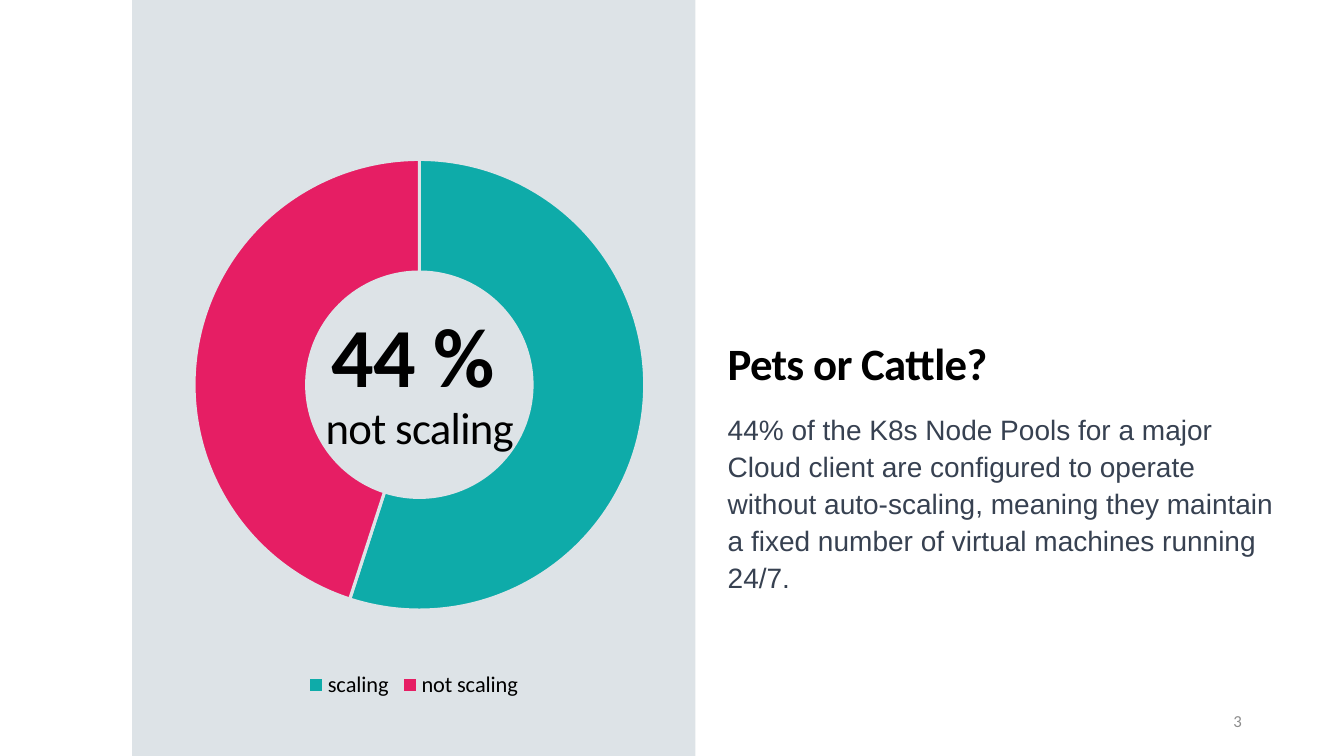
from dataclasses import dataclass

from lxml import etree
from pptx import Presentation
from pptx.chart.data import CategoryChartData
from pptx.dml.color import RGBColor
from pptx.enum import chart as chart_enum, shapes, text
from pptx.oxml.ns import qn
from pptx.util import Pt

BLACK = RGBColor(0x00, 0x00, 0x00)
PANEL_GREY = RGBColor(0xDD, 0xE3, 0xE7)
TEAL = RGBColor(0x0E, 0xAB, 0xA9)
PINK = RGBColor(0xE6, 0x1E, 0x64)
SLATE = RGBColor(0x37, 0x41, 0x51)
NUMBER_GREY = RGBColor(0x8C, 0x8C, 0x8C)

SLIDE_WIDTH, SLIDE_HEIGHT = 960, 540
PANEL_LEFT, PANEL_WIDTH = 94.3, 402.5
TEXT_LEFT, TEXT_WIDTH = 519.8, 402.5


@dataclass(frozen=True)
class Run:
    text: str
    size: float
    color: RGBColor = BLACK
    bold: bool = False
    font: str = "Calibri"
    spacing: int = 0  # hundredths of a point
    break_after: bool = False


@dataclass(frozen=True)
class Block:
    left: float
    top: float
    width: float
    height: float
    runs: tuple[Run, ...]
    align: text.PP_ALIGN = text.PP_ALIGN.LEFT
    anchor: text.MSO_ANCHOR = text.MSO_ANCHOR.BOTTOM
    line_spacing: float = 0.9
    side_inset: float = 0
    end_inset: float = 2.2


TITLE = Block(TEXT_LEFT, 116.6, TEXT_WIDTH, 164.2,
              (Run("Pets or Cattle?", 32, bold=True, spacing=-50),))

TEXT_BLOCKS = (
    # Figure in the middle of the ring
    Block(192.2, 218.9, 215.3, 108,
          (Run("44 %", 60, bold=True, spacing=-50),
           Run(" ", 44, bold=True, spacing=-50, break_after=True),
           Run("not scaling", 32, spacing=-50)),
          align=text.PP_ALIGN.CENTER),
    # Explanation
    Block(TEXT_LEFT, 292.3, TEXT_WIDTH, 209.5,
          (Run("44% of the K8s Node Pools for a major Cloud client are configured "
               "to operate without auto-scaling, meaning they maintain a fixed "
               "number of virtual machines running 24/7.", 20, SLATE, font="Arial"),),
          anchor=text.MSO_ANCHOR.TOP, line_spacing=1.1, end_inset=0),
    # Slide number
    Block(678.2, 500.4, 216, 28.8, (Run("3", 12, NUMBER_GREY),),
          align=text.PP_ALIGN.RIGHT, anchor=text.MSO_ANCHOR.MIDDLE,
          line_spacing=1, side_inset=7.2, end_inset=3.6),
)


def fill_text(shape, block: Block) -> None:
    """Place a text shape and write its single paragraph run by run."""
    shape.left, shape.top = Pt(block.left), Pt(block.top)
    shape.width, shape.height = Pt(block.width), Pt(block.height)
    frame = shape.text_frame
    frame.word_wrap = True
    frame.auto_size = text.MSO_AUTO_SIZE.NONE
    frame.vertical_anchor = block.anchor
    frame.margin_left = frame.margin_right = Pt(block.side_inset)
    frame.margin_top = frame.margin_bottom = Pt(block.end_inset)
    paragraph = frame.paragraphs[0]
    paragraph.alignment = block.align
    paragraph.line_spacing = block.line_spacing
    for item in block.runs:
        run = paragraph.add_run()
        run.text = item.text
        run.font.name = item.font
        run.font.size = Pt(item.size)
        run.font.bold = item.bold
        run.font.color.rgb = item.color
        if item.spacing:
            run.font._element.set("spc", str(item.spacing))
        if item.break_after:
            paragraph.add_line_break()


def add_panel(slide) -> None:
    panel = slide.shapes.add_shape(shapes.MSO_SHAPE.RECTANGLE, Pt(PANEL_LEFT), Pt(0),
                                   Pt(PANEL_WIDTH), Pt(SLIDE_HEIGHT))
    panel.shadow.inherit = False
    panel.fill.solid()
    panel.fill.fore_color.rgb = PANEL_GREY
    panel.line.fill.background()


def set_plot_layout(chart, x: float, y: float, width: float, height: float) -> None:
    """Fix the inner plot area as fractions of the chart."""
    plot_area = chart._chartSpace.chart.plotArea
    for old_layout in plot_area.findall(qn("c:layout")):
        plot_area.remove(old_layout)
    layout = etree.Element(qn("c:layout"))
    manual = etree.SubElement(layout, qn("c:manualLayout"))
    settings = {"layoutTarget": "inner", "xMode": "edge", "yMode": "edge",
                "x": x, "y": y, "w": width, "h": height}
    for name, value in settings.items():
        etree.SubElement(manual, qn(f"c:{name}")).set("val", str(value))
    plot_area.insert(0, layout)


def add_scaling_chart(slide) -> None:
    data = CategoryChartData()
    data.categories = ["scaling", "not scaling"]
    data.add_series("Series 1", (55, 45))
    chart = slide.shapes.add_chart(chart_enum.XL_CHART_TYPE.DOUGHNUT, Pt(PANEL_LEFT), Pt(77),
                                   Pt(PANEL_WIDTH), Pt(425.5), data).chart
    chart.has_title = False
    chart.font.name = "Calibri"
    chart.font.size = Pt(18)
    chart.font.color.rgb = BLACK
    chart.has_legend = True
    chart.legend.position = chart_enum.XL_LEGEND_POSITION.BOTTOM
    chart.legend.include_in_layout = False
    chart.legend.font.name = "Calibri"
    chart.legend.font.size = Pt(16)
    chart.legend.font.color.rgb = BLACK
    set_plot_layout(chart, 0.11, 0.08, 0.8, 0.77)

    plot = chart.plots[0]
    plot.vary_by_categories = True
    plot._element.find(qn("c:holeSize")).set("val", "80")
    for index, color in enumerate((TEAL, PINK)):
        point_format = plot.series[0].points[index].format
        point_format.fill.solid()
        point_format.fill.fore_color.rgb = color
        point_format.line.color.rgb = PANEL_GREY
        point_format.line.width = Pt(2.25)


def main() -> None:
    presentation = Presentation()
    presentation.slide_width, presentation.slide_height = Pt(SLIDE_WIDTH), Pt(SLIDE_HEIGHT)
    slide = presentation.slides.add_slide(presentation.slide_layouts[5])

    # Panel and ring chart
    add_panel(slide)
    add_scaling_chart(slide)

    # Title and texts
    fill_text(slide.shapes.title, TITLE)
    for block in TEXT_BLOCKS:
        fill_text(slide.shapes.add_textbox(0, 0, 0, 0), block)

    presentation.save("out.pptx")


if __name__ == "__main__":
    main()
